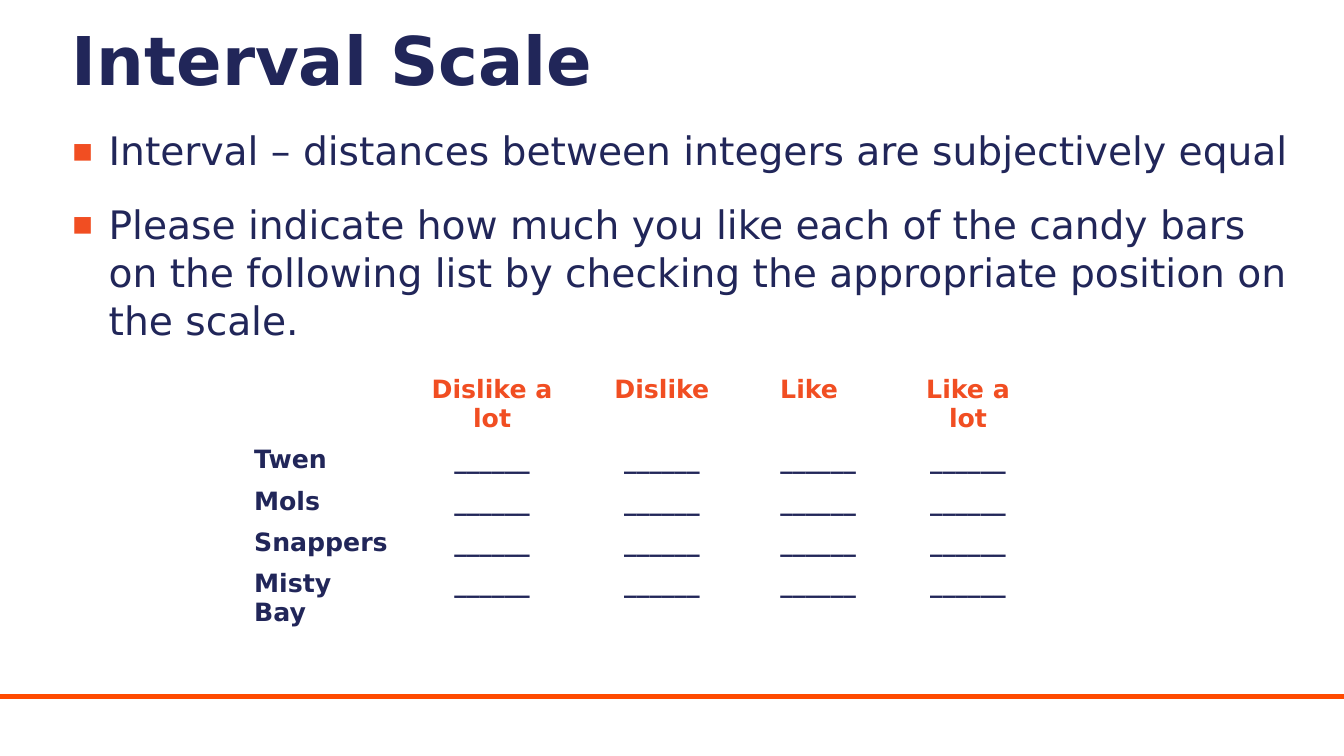
"""Build the Interval Scale slide with a candy bar rating table."""
from lxml import etree
from pptx import Presentation
from pptx.dml.color import RGBColor
from pptx.enum.shapes import MSO_CONNECTOR
from pptx.enum.text import MSO_ANCHOR, MSO_AUTO_SIZE, PP_ALIGN
from pptx.oxml.ns import qn
from pptx.util import Cm, Pt

STRAIGHT = MSO_CONNECTOR.STRAIGHT
TOP = MSO_ANCHOR.TOP
NO_FIT = MSO_AUTO_SIZE.NONE
LEFT, CENTER = PP_ALIGN.LEFT, PP_ALIGN.CENTER
FONT = "DejaVu Sans"
COLORS = {"navy": "212659", "orange": "F14E22", "rule": "FF4A00"}


def style_font(font, size, color, bold):
    formats = {"name": FONT, "size": Pt(size), "bold": bold}
    for attribute, value in formats.items():
        setattr(font, attribute, value)
    font.color.rgb = RGBColor.from_string(COLORS[color])


def add_bullet(paragraph):
    properties = paragraph._p.get_or_add_pPr()
    properties.set("marL", str(Cm(0.94)))
    properties.set("indent", str(-Cm(0.94)))
    bullet_color = etree.SubElement(properties, qn("a:buClr"))
    etree.SubElement(bullet_color, qn("a:srgbClr"), val=COLORS["orange"])
    etree.SubElement(properties, qn("a:buSzPct"), val="85000")
    etree.SubElement(properties, qn("a:buFont"), typeface=FONT)
    etree.SubElement(properties, qn("a:buChar"), char="▪")


prs = Presentation()
prs.slide_width, prs.slide_height = Cm(33.87), Cm(19.05)
slide = prs.slides.add_slide(prs.slide_layouts[5])

footer_rule = slide.shapes.add_connector(STRAIGHT, 0, Cm(17.55), prs.slide_width, Cm(17.55))
footer_rule.line.color.rgb = RGBColor.from_string(COLORS["rule"])
footer_rule.line.width = Pt(3)
etree.SubElement(footer_rule._element.spPr, qn("a:effectLst"))

title = slide.shapes.title
title.left, title.top, title.width, title.height = Cm(1.55), Cm(0.2), Cm(31.52), Cm(2.11)
title_frame = title.text_frame
title_frame.text = "Interval Scale"
title_frame.auto_size = NO_FIT
title_frame.vertical_anchor = TOP
title_frame.margin_top, title_frame.margin_bottom = Cm(0.25), 0
heading = title_frame.paragraphs[0]
heading.alignment = LEFT
style_font(heading.font, 48, "navy", True)

body = slide.shapes.add_textbox(Cm(1.55), Cm(3.02), Cm(31.52), Cm(13.18)).text_frame
body.word_wrap = True
body.text = "\n".join([
    "Interval – distances between integers are subjectively equal",
    "Please indicate how much you like each of the candy bars on the following list "
    "by checking the appropriate position on the scale.",
])
for point, space_after in zip(body.paragraphs, (18, 8)):
    add_bullet(point)
    point.line_spacing = 1.03
    point.space_after = Pt(space_after)
    style_font(point.font, 28, "navy", False)

ratings = ["Dislike a lot", "Dislike", "Like", "Like a lot"]
candy_bars = ["Twen", "Mols", "Snappers", "Misty Bay"]
rows = [["", *ratings]] + [[bar] + ["______"] * len(ratings) for bar in candy_bars]
column_widths = [3.94, 4.62, 3.94, 3.94, 3.61]
scale = slide.shapes.add_table(
    len(rows), len(column_widths), Cm(6.15), Cm(9.32), Cm(sum(column_widths)), Cm(5.2)
).table
scale.first_row = False
scale.horz_banding = False
for column, width in zip(scale.columns, column_widths):
    column.width = Cm(width)
for row_index, row in enumerate(rows):
    scale.rows[row_index].height = Cm(1.04)
    for column_index, text in enumerate(row):
        cell = scale.cell(row_index, column_index)
        cell.fill.background()
        cell.text = text
        entry = cell.text_frame.paragraphs[0]
        entry.alignment = CENTER if column_index else LEFT
        style_font(entry.font, 18, "navy" if row_index else "orange", True)
scale.cell(0, 1 + ratings.index("Like")).margin_right = Cm(0.71)

prs.save("out.pptx")
